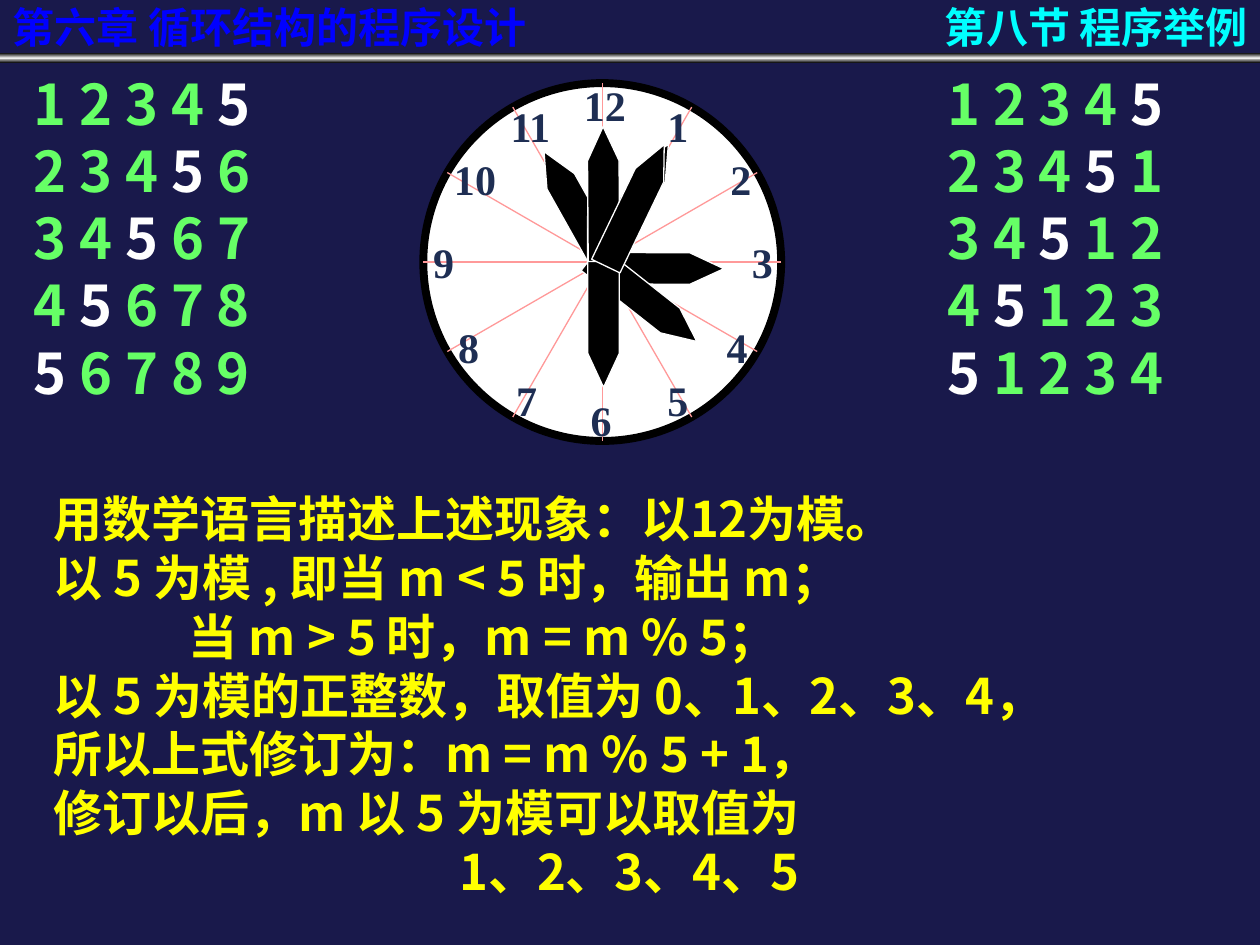
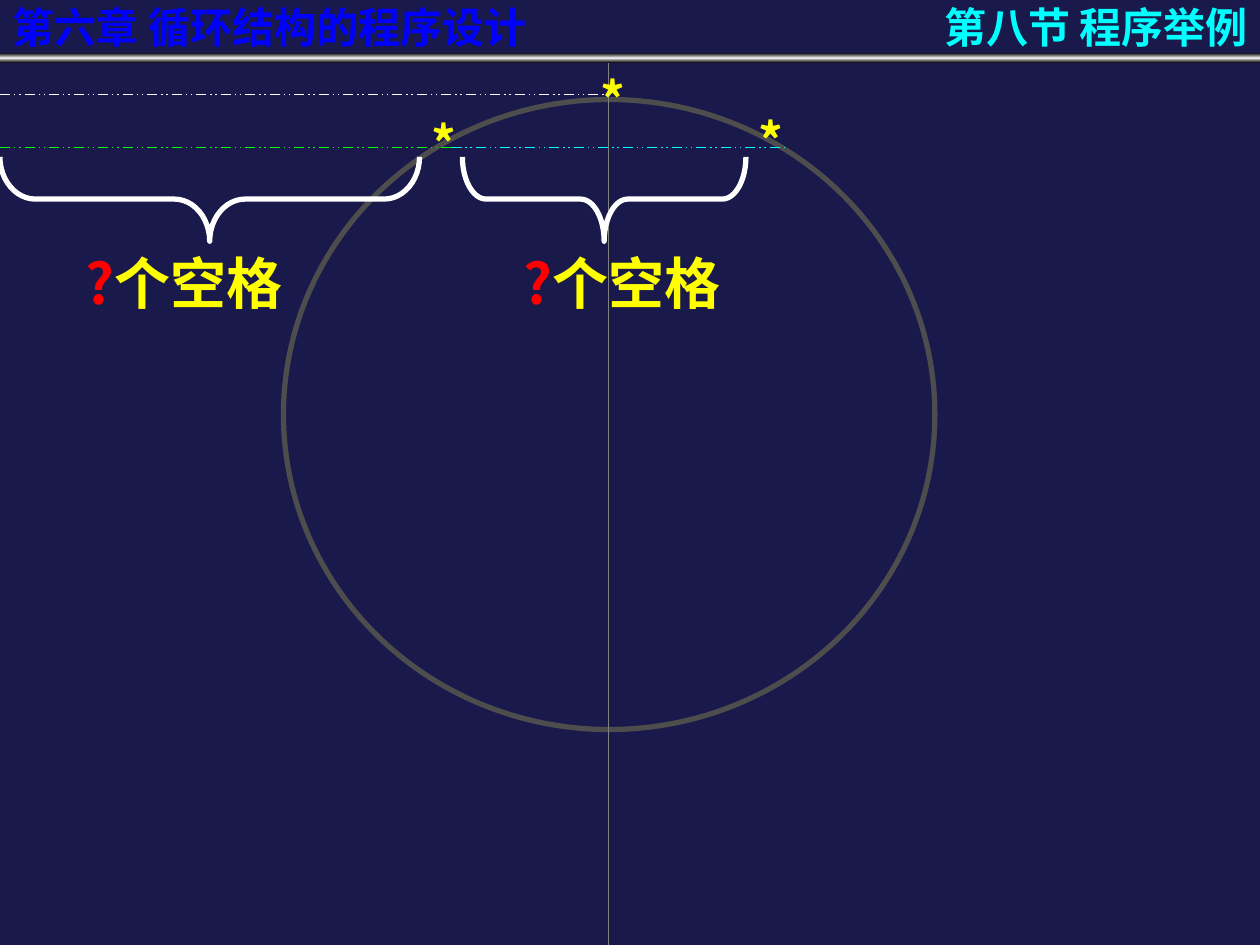
import math
from dataclasses import dataclass
from typing import Optional

from lxml import etree
from pptx import Presentation
from pptx.dml.color import RGBColor
from pptx.enum.dml import MSO_LINE
from pptx.enum.shapes import MSO_CONNECTOR, MSO_SHAPE
from pptx.enum.text import MSO_ANCHOR, MSO_AUTO_SIZE, PP_ALIGN
from pptx.oxml.ns import qn
from pptx.util import Inches, Pt

LEFT, CENTER, RIGHT = PP_ALIGN.LEFT, PP_ALIGN.CENTER, PP_ALIGN.RIGHT
TOP, MIDDLE = MSO_ANCHOR.TOP, MSO_ANCHOR.MIDDLE
DASH = MSO_LINE.DASH_DOT_DOT

COLORS = {
    "background": "19194B", "black": "000000", "white": "FFFFFF",
    "silver": "EEEEEE", "shadow": "808080", "chapter": "0000FF",
    "cyan": "00FFFF", "green": "00FF00", "digit": "66FF66",
    "yellow": "FFFF00", "red": "FF0000", "spoke": "FF9999",
    "hour": "1E2E53", "circle": "4D4D4D",
}
FONT = "Noto Sans CJK SC"
CLOCK_FONT = "Times New Roman"
CLOCK_X, CLOCK_Y, CLOCK_R = 4.78, 2.08, 1.42
HAND_LENGTH, HAND_WIDTH = 1.07, 0.25


@dataclass
class Hour:
    number: int
    x: float
    y: float


@dataclass
class Hand:
    x: float
    y: float
    angle: float


@dataclass
class Rule:
    x1: float
    y1: float
    x2: float
    y2: float
    color: str
    dash: Optional[MSO_LINE] = None


@dataclass
class Gap:
    x: float
    width: float
    curve: float
    label_x: float


HOURS = [
    Hour(12, 4.8, 0.58), Hour(1, 5.38, 0.75), Hour(2, 5.88, 1.17),
    Hour(3, 6.05, 1.83), Hour(4, 5.85, 2.5), Hour(5, 5.38, 2.92),
    Hour(6, 4.77, 3.08), Hour(7, 4.18, 2.92), Hour(8, 3.72, 2.5),
    Hour(9, 3.52, 1.83), Hour(10, 3.77, 1.17), Hour(11, 4.21, 0.75),
]
HANDS = [
    Hand(4.58, 1.67, 240.7), Hand(4.79, 1.54, 270.2),
    Hand(5.21, 2.13, 0.3), Hand(5.11, 2.38, 38.2),
    Hand(4.79, 2.54, 90), Hand(5.04, 1.61, 299.7),
    Hand(4.79, 1.54, 269.6), Hand(5.04, 1.63, 295.7),
]
MODULO_TEXT = [
    "用数学语言描述上述现象：以12为模。",
    "以 5 为模 , 即当 m < 5 时，输出 m；",
    "当 m > 5 时，m = m % 5；",
    "以 5 为模的正整数，取值为 0、1、2、3、4，",
    "所以上式修订为：m = m % 5 + 1，",
    "修订以后，m 以 5 为模可以取值为",
    "1、2、3、4、5",
]
GUIDES = [
    Rule(0, 0.75, 4.83, 0.75, "white", DASH),
    Rule(0, 1.17, 3.67, 1.17, "green", DASH),
    Rule(3.58, 1.17, 6.25, 1.17, "cyan", DASH),
]
GAPS = [Gap(0, 3.33, 0.42, 0.58), Gap(3.67, 2.25, 0.28, 4.06)]
STARS = [(4.67, 0.5), (3.33, 0.85), (5.92, 0.83)]


def rgb(name: str) -> RGBColor:
    return RGBColor.from_string(COLORS[name])


def style_run(r, size: float, color: str, font: str = FONT) -> None:
    r.font.size = Pt(size)
    r.font.bold = True
    r.font.color.rgb = rgb(color)
    r.font.name = font
    ea = etree.Element(qn("a:ea"), typeface=font)
    r._r.rPr.find(qn("a:latin")).addnext(ea)


def style_paragraph(p, size: float, color: str, align=LEFT, font: str = FONT) -> None:
    p.alignment = align
    if font == FONT:
        p.line_spacing = Pt(size * 1.2)
    for r in p.runs:
        style_run(r, size, color, font)


def set_frame(sp, anchor=TOP):
    tf = sp.text_frame
    tf.word_wrap = True
    tf.auto_size = MSO_AUTO_SIZE.NONE
    tf.vertical_anchor = anchor
    return tf


def add_text(s, x: float, y: float, w: float, h: float, text: str, size: float,
             color: str, align=LEFT, font: str = FONT, anchor=TOP):
    sp = s.shapes.add_textbox(Inches(x), Inches(y), Inches(w), Inches(h))
    tf = set_frame(sp, anchor)
    tf.text = text
    for p in tf.paragraphs:
        style_paragraph(p, size, color, align, font)
    return tf


def add_preset(s, kind, x: float, y: float, w: float, h: float,
               fill: Optional[str], line: Optional[str], weight: float = 0):
    sp = s.shapes.add_shape(kind, Inches(x), Inches(y), Inches(w), Inches(h))
    sp.shadow.inherit = False
    paint(sp, fill, line, weight)
    return sp


def paint(sp, fill: Optional[str], line: Optional[str], weight: float) -> None:
    if fill:
        sp.fill.solid()
        sp.fill.fore_color.rgb = rgb(fill)
    else:
        sp.fill.background()
    if line:
        sp.line.color.rgb = rgb(line)
        sp.line.width = Pt(weight)
    else:
        sp.line.fill.background()


def add_rule(s, rule: Rule) -> None:
    c = s.shapes.add_connector(MSO_CONNECTOR.STRAIGHT, Inches(rule.x1), Inches(rule.y1),
                               Inches(rule.x2), Inches(rule.y2))
    c.line.color.rgb = rgb(rule.color)
    c.line.width = Pt(0.75)
    if rule.dash:
        c.line.dash_style = rule.dash
    etree.SubElement(c._element.spPr, qn("a:effectLst"))


def add_band(s) -> None:
    sp = add_preset(s, MSO_SHAPE.RECTANGLE, 0, 0.42, 10, 0.08, None, None)
    sp.fill.gradient()
    sp.fill.gradient_angle = 90
    stops = sp._element.spPr.find(".//" + qn("a:gsLst"))
    for stop in list(stops):
        stops.remove(stop)
    for pos, name in ((0, "black"), (50, "silver"), (100, "black")):
        gs = etree.SubElement(stops, qn("a:gs"), pos=str(pos * 1000))
        etree.SubElement(gs, qn("a:srgbClr"), val=COLORS[name])


def add_title(s) -> None:
    sp = s.shapes.title
    sp.left, sp.top, sp.width, sp.height = Inches(0), Inches(-0.08), Inches(4.92), Inches(0.58)
    tf = set_frame(sp, MIDDLE)
    tf.text = "第六章 循环结构的程序设计"
    p = tf.paragraphs[0]
    style_paragraph(p, 24, "chapter")
    effects = etree.Element(qn("a:effectLst"))
    shadow = etree.SubElement(effects, qn("a:outerShdw"), dist="25400", dir="2700000")
    etree.SubElement(shadow, qn("a:srgbClr"), val=COLORS["shadow"])
    p.runs[0]._r.rPr.find(qn("a:solidFill")).addnext(effects)


def new_slide(prs):
    s = prs.slides.add_slide(prs.slide_layouts[5])
    add_band(s)
    add_title(s)
    add_text(s, 5.42, -0.08, 4.58, 0.58, "第八节 程序举例", 24, "cyan", RIGHT, anchor=MIDDLE)
    return s


def add_digits(s, x: float, rows: list[list[int]]) -> None:
    text = "\n".join(" ".join(map(str, row)) for row in rows)
    tf = add_text(s, x, 0.5, 2.58, 2.83, text, 32, "digit")
    for p in tf.paragraphs:
        before, after = p.text.split("5")
        p.text = ""
        for part in filter(None, (before, "5", after)):
            r = p.add_run()
            r.text = part
            style_run(r, 32, "white" if part == "5" else "digit")


def add_hand(s, hand: Hand) -> None:
    x, y = hand.x - HAND_LENGTH / 2, hand.y - HAND_WIDTH / 2
    outline = [(0.8, 0), (HAND_LENGTH, HAND_WIDTH / 2), (0.8, HAND_WIDTH), (0, HAND_WIDTH)]
    fb = s.shapes.build_freeform(Inches(x), Inches(y))
    fb.add_line_segments([(Inches(x + dx), Inches(y + dy)) for dx, dy in outline])
    sp = fb.convert_to_shape()
    sp.shadow.inherit = False
    paint(sp, "black", "white", 0.75)
    sp.rotation = hand.angle


def add_clock(s) -> None:
    add_preset(s, MSO_SHAPE.OVAL, CLOCK_X - CLOCK_R, CLOCK_Y - CLOCK_R,
               2 * CLOCK_R, 2 * CLOCK_R, "white", "black", 4.5)
    for k in range(6):
        dx = CLOCK_R * math.sin(math.radians(30 * k))
        dy = CLOCK_R * math.cos(math.radians(30 * k))
        add_rule(s, Rule(CLOCK_X + dx, CLOCK_Y - dy, CLOCK_X - dx, CLOCK_Y + dy, "spoke"))
    for hour in HOURS:
        add_text(s, hour.x - 0.3, hour.y, 0.6, 0.5, str(hour.number), 24, "hour",
                 CENTER, CLOCK_FONT)
    for hand in HANDS:
        add_hand(s, hand)


def add_gap(s, gap: Gap) -> None:
    depth = 0.67
    sp = add_preset(s, MSO_SHAPE.LEFT_BRACE, gap.x + (gap.width - depth) / 2,
                    1.58 - gap.width / 2, depth, gap.width, None, "white", 3)
    sp.adjustments[0] = gap.curve
    sp.rotation = 270
    p = add_text(s, gap.label_x, 1.92, 2.19, 0.67, "?", 32, "red").paragraphs[0]
    r = p.add_run()
    r.text = "个空格"
    style_run(r, 32, "yellow")


def build_modulo_slide(prs) -> None:
    s = new_slide(prs)
    add_digits(s, 0.17, [[i + j + 1 for j in range(5)] for i in range(5)])
    add_digits(s, 7.42, [[(i + j) % 5 + 1 for j in range(5)] for i in range(5)])
    add_clock(s)
    tf = add_text(s, 0.33, 3.83, 9.33, 3.25, "\n".join(MODULO_TEXT), 28, "yellow")
    tf.paragraphs[2]._p.get_or_add_pPr().set("marL", str(Inches(1.07)))
    tf.paragraphs[-1].alignment = CENTER


def build_circle_slide(prs) -> None:
    s = new_slide(prs)
    add_preset(s, MSO_SHAPE.OVAL, 2.25, 0.79, 5.17, 5, None, "circle", 3)
    add_rule(s, Rule(4.83, 7.5, 4.83, 0.5, "shadow"))
    for x, y in STARS:
        add_text(s, x, y, 0.33, 0.57, "*", 28, "yellow")
    for guide in GUIDES:
        add_rule(s, guide)
    for gap in GAPS:
        add_gap(s, gap)


def main() -> None:
    prs = Presentation()
    prs.slide_width, prs.slide_height = Inches(10), Inches(7.5)
    fill = prs.slide_master.background.fill
    fill.solid()
    fill.fore_color.rgb = rgb("background")
    build_modulo_slide(prs)
    build_circle_slide(prs)
    prs.save("out.pptx")


if __name__ == "__main__":
    main()
